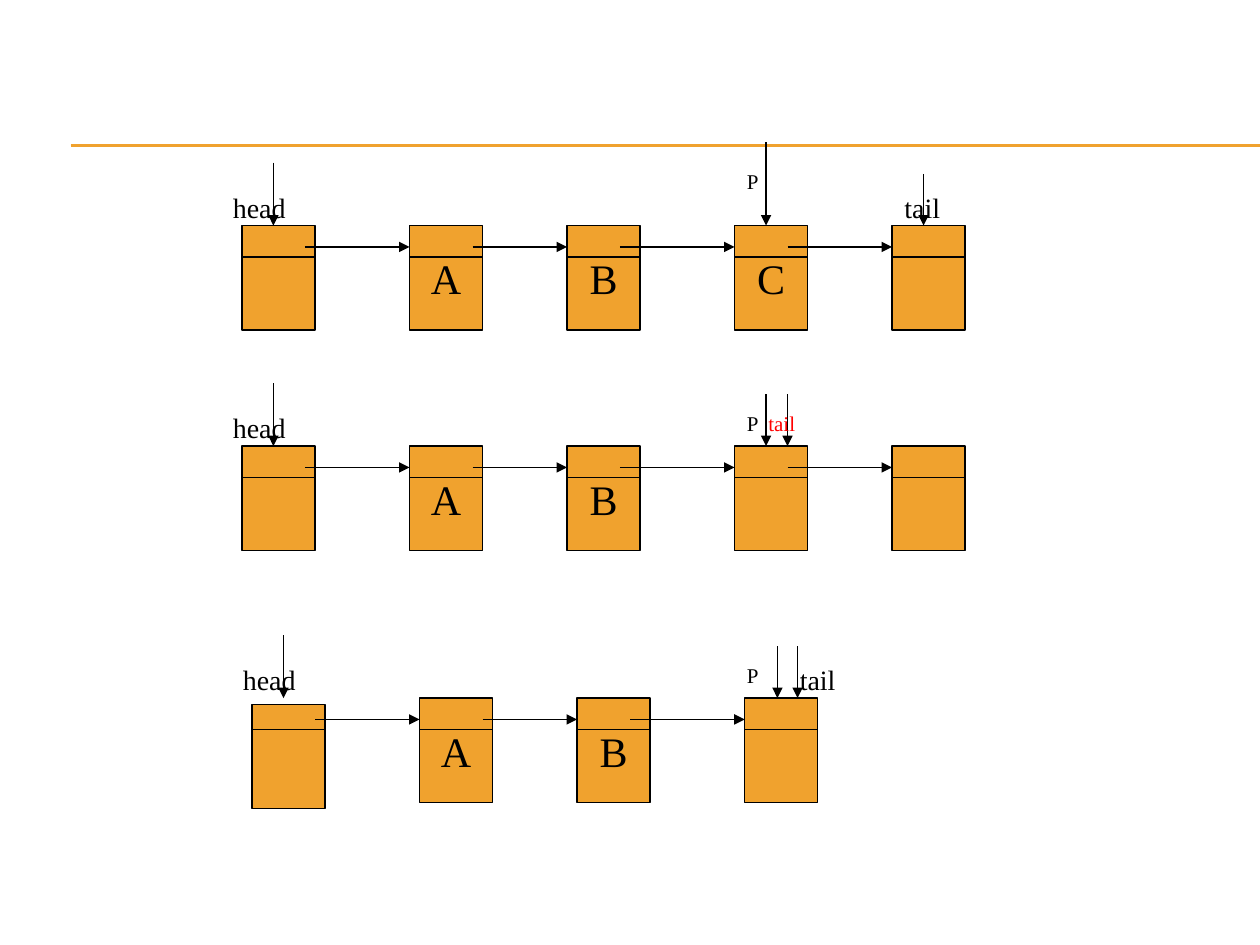
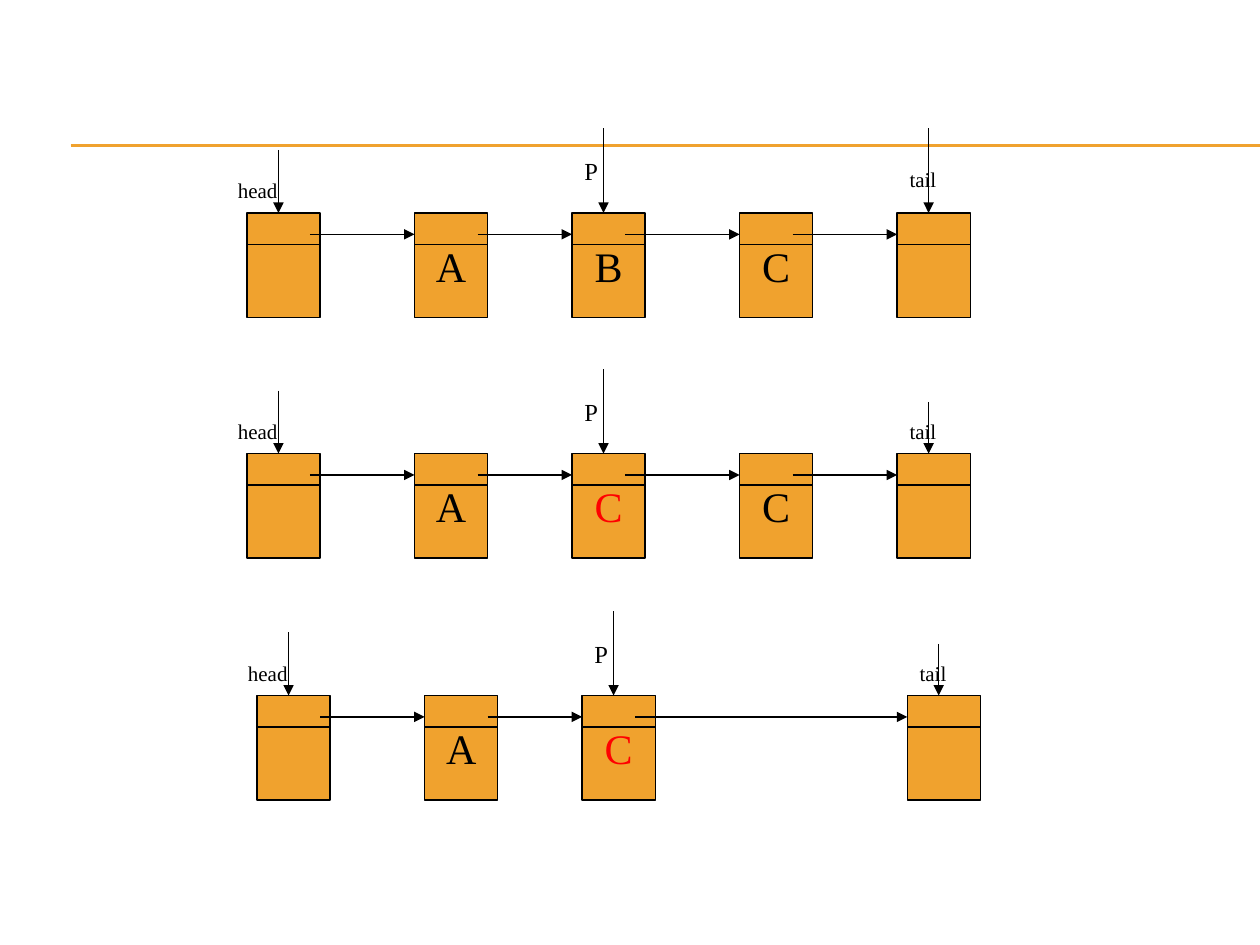
"""Build two slides that show list deletion step by step with linked nodes."""
from lxml.etree import SubElement
from pptx import Presentation
from pptx.dml.color import RGBColor
from pptx.enum.shapes import MSO_CONNECTOR, MSO_SHAPE
from pptx.enum.text import MSO_ANCHOR, PP_ALIGN
from pptx.oxml.ns import qn
from pptx.util import Inches, Pt

ORANGE, BLACK, RED = "F0A22E", "000000", "FF0000"
FONT = "Times New Roman"
NODE_WIDTH, NODE_HEIGHT = 0.58, 0.83
DIVIDER_DROP, LINK_DROP = 0.25, 0.17
COLUMNS = [0, 1.33, 2.58, 3.91, 5.16]
LINK_STARTS = [0.5, 0.5, 0.42, 0.42]
LABEL_HEIGHTS = {12: 0.3, 14: 0.33, 16: 0.37}


def add_line(page, start, end, color=BLACK, arrow=False):
    """Draw a thin straight line, with an arrowhead at its end on request."""
    line = page.shapes.add_connector(MSO_CONNECTOR.STRAIGHT, *map(Inches, start + end))
    line.line.color.rgb = RGBColor.from_string(color)
    line.line.width = Pt(0.75)
    if arrow:
        SubElement(line.line._get_or_add_ln(), qn("a:tailEnd"), type="triangle")
    SubElement(line._element.spPr, qn("a:effectLst"))


def write_text(box, text, size, color):
    """Put one styled line of text into a box."""
    para = box.text_frame.paragraphs[0]
    para.text = text
    span = para.runs[0]
    span.font.name = FONT
    span.font.size = Pt(size)
    span.font.color.rgb = RGBColor.from_string(color)
    return para


# Nodes: column, letter, letter colour, extra drop.
# Pointers: label, size, colour, arrow offset, arrow length, label offset, label rise, label width.
head_node, node_a, node_b = (0, "", BLACK, 0), (1, "A", BLACK, 0), (2, "B", BLACK, 0)
node_c, tail_node, red_c = (3, "C", BLACK, 0), (4, "", BLACK, 0), (2, "C", RED, 0)
empty_node, low_head = (3, "", BLACK, 0), (0, "", BLACK, 0.05)

large_head = ("head", 16, BLACK, 0.25, 0.5, -0.17, 0.33, 0.83)
small_head = ("head", 12, BLACK, 0.25, 0.5, -0.17, 0.33, 0.83)
small_tail = ("tail", 12, BLACK, 5.41, 0.41, 5.16, 0.33, 0.75)
pointer_b = ("P", 14, BLACK, 2.83, 0.67, 2.58, 0.5, 0.5)

remove_last = [
    (1.92, 1.79, [head_node, node_a, node_b, node_c, tail_node], [
        large_head,
        ("tail", 16, BLACK, 5.41, 0.41, 5.16, 0.33, 0.75),
        ("P", 12, BLACK, 4.16, 0.66, 3.91, 0.5, 0.5)]),
    (1.92, 3.54, [head_node, node_a, node_b, empty_node, tail_node], [
        large_head,
        ("tail", 12, RED, 4.33, 0.41, 4.08, 0.33, 0.75),
        ("P", 12, BLACK, 4.16, 0.41, 3.91, 0.33, 0.5)]),
    (2.0, 5.54, [low_head, node_a, node_b, empty_node], [
        large_head,
        ("P", 12, BLACK, 4.17, 0.41, 3.83, 0.33, 0.5),
        ("tail", 16, BLACK, 4.33, 0.41, 4.25, 0.33, 0.67)]),
]
remove_middle = [
    (1.96, 1.69, [head_node, node_a, node_b, node_c, tail_node], [
        small_head, ("tail", 12, BLACK, 5.41, 0.67, 5.16, 0.42, 0.75), pointer_b]),
    (1.96, 3.6, [head_node, node_a, red_c, node_c, tail_node],
     [small_head, small_tail, pointer_b]),
    (2.04, 5.52, [head_node, node_a, red_c, tail_node],
     [small_head, small_tail, pointer_b]),
]

deck = Presentation()
deck.slide_width, deck.slide_height = Inches(10), Inches(7.5)

for chains in (remove_last, remove_middle):
    page = deck.slides.add_slide(deck.slide_layouts[6])
    for rule_top in (1.15, 1.16):
        add_line(page, (0.56, rule_top), (10, rule_top), ORANGE)

    for left, top, nodes, pointers in chains:
        for column, letter, color, drop in nodes:
            node_left = left + COLUMNS[column]
            box = page.shapes.add_shape(
                MSO_SHAPE.RECTANGLE, Inches(node_left), Inches(top + drop),
                Inches(NODE_WIDTH), Inches(NODE_HEIGHT))
            box.shadow.inherit = False
            box.fill.solid()
            box.fill.fore_color.rgb = RGBColor.from_string(ORANGE)
            box.line.color.rgb = RGBColor.from_string(BLACK)
            box.line.width = Pt(0.75)
            if letter:
                box.text_frame.word_wrap = False
                box.text_frame.vertical_anchor = MSO_ANCHOR.MIDDLE
                write_text(box, letter, 24, color).alignment = PP_ALIGN.CENTER
            divider = top + DIVIDER_DROP
            add_line(page, (node_left, divider), (node_left + NODE_WIDTH, divider))

        for (column, *_), (next_column, *_) in zip(nodes, nodes[1:]):
            link_left = left + COLUMNS[column] + LINK_STARTS[column]
            link_top = top + LINK_DROP
            add_line(page, (link_left, link_top),
                     (left + COLUMNS[next_column], link_top), arrow=True)

        for name, size, color, arrow_x, length, label_x, rise, width in pointers:
            add_line(page, (left + arrow_x, top - length), (left + arrow_x, top), arrow=True)
            label = page.shapes.add_textbox(
                Inches(left + label_x), Inches(top - rise),
                Inches(width), Inches(LABEL_HEIGHTS[size]))
            label.text_frame.word_wrap = True
            write_text(label, name, size, color)

deck.save("out.pptx")
